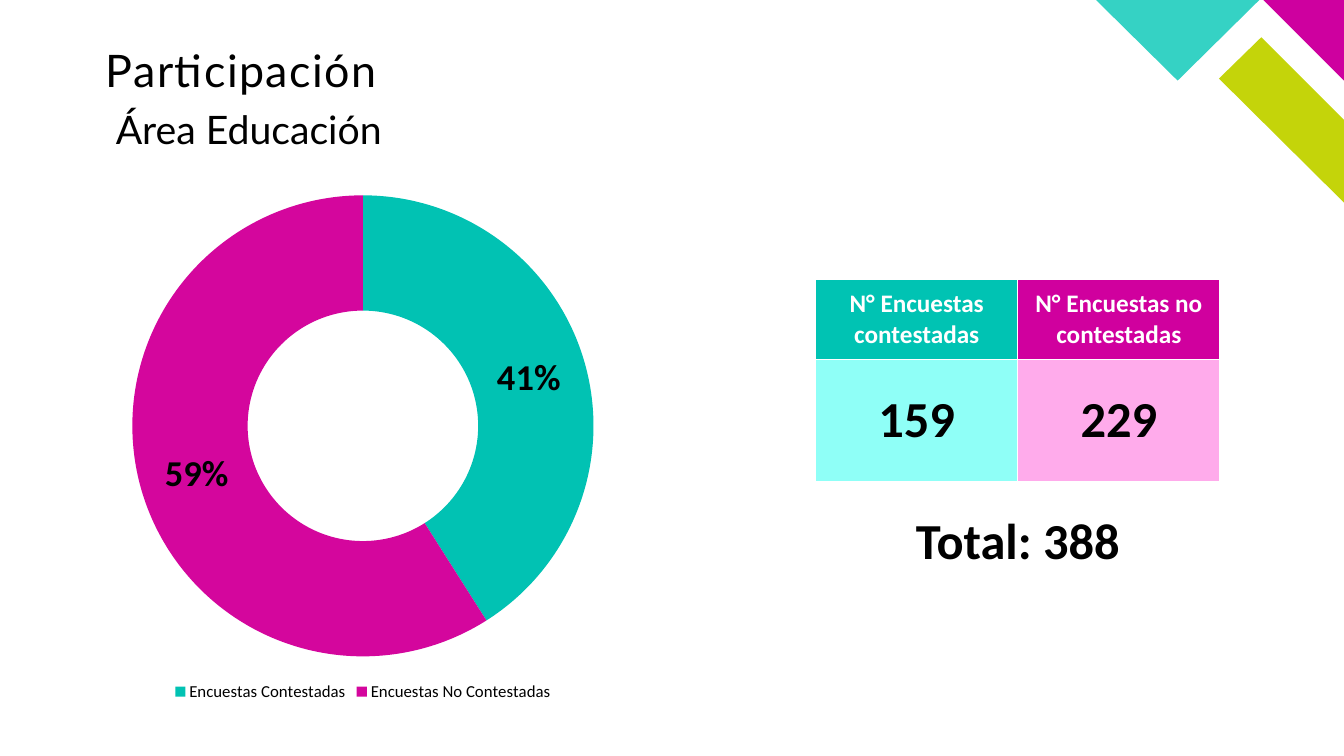
"""Build the survey participation slide for the education area."""
from lxml.etree import SubElement
from pptx import Presentation
from pptx.chart.data import CategoryChartData
from pptx.dml.color import RGBColor
from pptx.enum.chart import XL_CHART_TYPE, XL_LEGEND_POSITION
from pptx.enum.text import MSO_ANCHOR, MSO_AUTO_SIZE, PP_ALIGN
from pptx.oxml.ns import qn
from pptx.util import Inches, Pt

THEME = {
    "ink": "000000", "paper": "FFFFFF",
    "lime": "C4D40A", "plum": "CE009F", "aqua": "35D2C4",
    "heads": ("00C3B3", "D0009E"), "cells": ("8FFFF7", "FFABEB"),
    "slices": ("01C2B3", "D4069D"),
    "title": {"name": "Lato", "size": Pt(32), "bold": False},
    "area": {"name": "Lato", "size": Pt(28), "bold": False},
    "count": {"name": "Calibri", "size": Pt(36), "bold": True},
    "head": {"name": "Calibri", "size": Pt(18), "bold": True},
    "label": {"name": "Calibri", "size": Pt(26), "bold": True},
    "legend": {"name": "Calibri", "size": Pt(12), "bold": False},
}


def style(font, role, color="ink"):
    for key, val in THEME[role].items():
        setattr(font, key, val)
    font.color.rgb = RGBColor.from_string(THEME[color])


def write(box, text, role, align, anchor, inset):
    frame = box.text_frame
    sides = {f"margin_{side}": Inches(gap) for side, gap in
             zip(("left", "right", "top", "bottom"), inset)}
    form = {"word_wrap": True, "auto_size": MSO_AUTO_SIZE.NONE, "vertical_anchor": anchor}
    for key, val in (form | sides).items():
        setattr(frame, key, val)
    para = frame.paragraphs[0]
    for key, val in {"alignment": align, "line_spacing": 0.9, "space_before": Pt(0)}.items():
        setattr(para, key, val)
    run = para.add_run()
    run.text = text
    style(run.font, role)
    return run


deck = Presentation()
deck.slide_width, deck.slide_height = Inches(13.33), Inches(7.5)
slide = deck.slides.add_slide(deck.slide_layouts[5])
shapes = slide.shapes

corner = (
    ("lime", ((13.33, 2.01), (13.33, 1.19), (12.51, 0.37), (12.09, 0.78))),
    ("plum", ((13.33, 0.8), (13.33, 0), (12.53, 0))),
    ("aqua", ((10.87, 0), (11.68, 0.8), (12.49, 0))),
)
for color, spots in corner:
    start, *rest = [(Inches(x), Inches(y)) for x, y in spots]
    pen = shapes.build_freeform(*start)
    pen.add_line_segments(rest, close=True)
    piece = pen.convert_to_shape()
    piece.shadow.inherit = False
    piece.fill.solid()
    piece.fill.fore_color.rgb = RGBColor.from_string(THEME[color])
    piece.line.fill.background()

left, top, wide, head, body = 8.09, 2.77, 4.01, 0.8, 1.21
half = wide / 2
table = shapes.add_table(2, 2, Inches(left), Inches(top), Inches(wide), Inches(head + body)).table
for row, tall in zip(table.rows, (head, body)):
    row.height = Inches(tall)
titles = ("N° Encuestas contestadas", "N° Encuestas no contestadas")
for col, title in enumerate(titles):
    table.columns[col].width = Inches(half)
    for row, tones in enumerate((THEME["heads"], THEME["cells"])):
        cell = table.cell(row, col)
        cell.vertical_anchor = MSO_ANCHOR.MIDDLE
        cell.fill.solid()
        cell.fill.fore_color.rgb = RGBColor.from_string(tones[col])
    para = table.cell(0, col).text_frame.paragraphs[0]
    para.alignment = PP_ALIGN.CENTER
    run = para.add_run()
    run.text = title
    style(run.font, "head", "paper")

title = shapes.title
title.left, title.top, title.width, title.height = map(Inches, (1.05, 0.48, 5.61, 0.67))
run = write(title, "Participación", "title", PP_ALIGN.LEFT, MSO_ANCHOR.TOP, (0, 0, 0, 0))
run.font._element.set("spc", "100")

inset = (0.1, 0.1, 0.05, 0.05)
mid, low = top + head, top + head + body
notes = (
    ("159", "count", (left, mid, half, body), PP_ALIGN.CENTER, MSO_ANCHOR.MIDDLE),
    ("229", "count", (left + half, mid, half, body), PP_ALIGN.CENTER, MSO_ANCHOR.MIDDLE),
    ("Total: 388", "count", (left, low, wide, body), PP_ALIGN.CENTER, MSO_ANCHOR.MIDDLE),
    ("Área Educación", "area", (1.05, 1.05, 9.78, 0.96), PP_ALIGN.LEFT, MSO_ANCHOR.TOP),
)
for text, role, place, align, anchor in notes:
    write(shapes.add_textbox(*map(Inches, place)), text, role, align, anchor, inset)

data = CategoryChartData(number_format="0%")
data.categories = ("Encuestas Contestadas", "Encuestas No Contestadas")
data.add_series("Series 1", (0.41, 0.59))
place = map(Inches, (1, 1.8, 5.2, 5.2))
chart = shapes.add_chart(XL_CHART_TYPE.DOUGHNUT, *place, data).chart
chart.has_title = False
style(chart.font, "head", "paper")
chart.has_legend = True
chart.legend.position = XL_LEGEND_POSITION.BOTTOM
chart.legend.include_in_layout = False
style(chart.legend.font, "legend")

plot = chart.plots[0]
plot.vary_by_categories = True
ring = plot.series[0]
for spot, tone in enumerate(THEME["slices"]):
    form = ring.points[spot].format
    form.fill.solid()
    form.fill.fore_color.rgb = RGBColor.from_string(tone)
    form.line.fill.background()
labels = ring.data_labels
marks = {"show_value": True, "show_percentage": False, "show_category_name": False,
         "show_legend_key": False, "number_format": "0%", "number_format_is_linked": False}
for key, val in marks.items():
    setattr(labels, key, val)
style(labels.font, "label")
hole = plot._element.find(qn("c:holeSize"))
if hole is None:
    hole = SubElement(plot._element, qn("c:holeSize"))
hole.set("val", "50")

deck.save("out.pptx")
